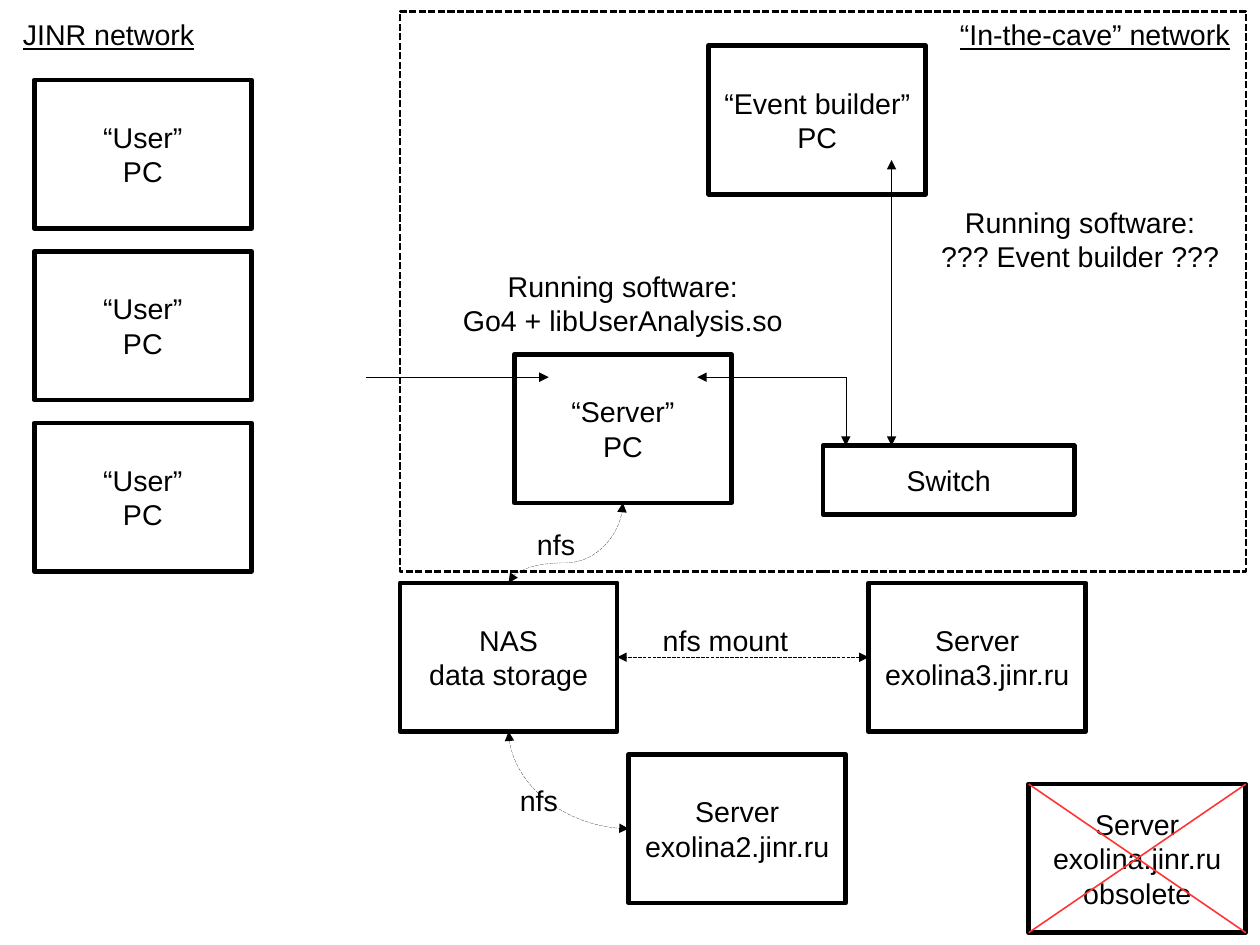
from lxml.etree import SubElement
from pptx import Presentation
from pptx.dml.color import RGBColor
from pptx.enum.dml import MSO_LINE
from pptx.enum.shapes import MSO_CONNECTOR, MSO_SHAPE
from pptx.enum.text import MSO_ANCHOR, MSO_AUTO_SIZE, PP_ALIGN
from pptx.oxml.ns import qn
from pptx.util import Cm, Inches, Pt

COLORS = {"ink": "000000", "cross": "FF3333"}
TEXT_FORMAT = {"size": Pt(18), "name": "Arial", "bold": False}
CELL = 0.1  # inches per grid step; all positions below count these steps
PC_SIZE = (19, 13)
TOP, LEFT, BOTTOM, RIGHT = range(4)

USER_PCS = {f"user{row}": ("“User”\nPC", 3, 7 + 15 * row, *PC_SIZE) for row in range(3)}
MACHINES = {
    "switch": ("Switch", 72, 39, 22, 6),
    "server": ("“Server”\nPC", 45, 31, *PC_SIZE),
    "builder": ("“Event builder”\nPC", 62, 4, *PC_SIZE),
    **USER_PCS,
    "exolina2": ("Server\nexolina2.jinr.ru", 55, 66, *PC_SIZE),
    "exolina3": ("Server\nexolina3.jinr.ru", 76, 51, *PC_SIZE),
    "obsolete": ("Server\nexolina.jinr.ru\nobsolete", 90, 68.6, *PC_SIZE),
    "nas": ("NAS\ndata storage", 35, 51, *PC_SIZE),
}
CAVE = (35, 1, 74, 49)

HEADING = ("JINR network", 1, 1, 26, 4)
CAVE_HEADING = ("“In-the-cave” network", 83, 1, 26, 4)
SOFTWARE = [
    ("Running software:\nGo4 + libUserAnalysis.so", 39, 23, 31, 6.6),
    ("Running software:\n??? Event builder ???", 79, 17.4, 31, 6.6),
]
MOUNT_LABELS = [
    ("nfs mount", 57, 54, 14, 4),
    ("nfs", 46, 45.6, 6, 3.8),
    ("nfs", 44.5, 68, 6, 3.8),
]

# start, end, arrowheads
CABLES = [
    ((74, 33), (61, 33), ["tailEnd"]),
    ((74, 33), (74, 39), ["tailEnd"]),
    ((78, 14), (78, 39), ["headEnd", "tailEnd"]),
    ((32, 33), (48, 33), ["tailEnd"]),
]
# machine and side at each end, then the bend of a curve
MOUNTS = [
    ("exolina3", LEFT, "nas", RIGHT, None),
    ("nas", BOTTOM, "exolina2", LEFT,
     {"prst": "curvedConnector2", "rot": 270, "flipH": 1, "flipV": 0}),
    ("nas", TOP, "server", BOTTOM,
     {"prst": "curvedConnector3", "rot": 90, "flipH": 1, "flipV": 1, "adj": 25000}),
]


def grid(*steps):
    return [Inches(step * CELL) for step in steps]


def write(shape, text, align, underline=False, wrap=True, anchor=MSO_ANCHOR.TOP):
    frame = shape.text_frame
    frame.text = text
    frame.auto_size = MSO_AUTO_SIZE.NONE
    frame.word_wrap = wrap
    frame.vertical_anchor = anchor
    for paragraph in frame.paragraphs:
        paragraph.alignment = align
        for key, value in TEXT_FORMAT.items():
            setattr(paragraph.font, key, value)
        paragraph.font.underline = underline
        paragraph.font.color.rgb = RGBColor.from_string(COLORS["ink"])


def add_box(shapes, area, width):
    box = shapes.add_shape(MSO_SHAPE.RECTANGLE, *grid(*area))
    box.shadow.inherit = False
    box.fill.background()
    box.line.color.rgb = RGBColor.from_string(COLORS["ink"])
    box.line.width = Pt(width)
    return box


def add_label(shapes, label, align, underline=False):
    text, *area = label
    write(shapes.add_textbox(*grid(*area)), text, align, underline)


def add_line(shapes, start, end, heads=(), color="ink", width=0, dash=None,
             kind=MSO_CONNECTOR.STRAIGHT):
    link = shapes.add_connector(kind, *grid(*start, *end))
    link.line.color.rgb = RGBColor.from_string(COLORS[color])
    if dash:
        link.line.dash_style = dash
    properties = link._element.spPr
    outline = properties.find(qn("a:ln"))
    outline.set("w", str(Pt(width)))  # a hairline needs its zero written out
    for head in heads:
        SubElement(outline, qn(f"a:{head}"), type="triangle")
    SubElement(properties, qn("a:effectLst"))
    return link


def bend(link, curve):
    """Turn a joined curve by a quarter so that it leaves its box vertically."""
    wide, high = link.width, link.height
    link.left += (wide - high) // 2
    link.top += (high - wide) // 2
    link.width, link.height = high, wide
    properties = link._element.spPr
    frame = properties.find(qn("a:xfrm"))
    frame.set("rot", str(curve["rot"] * 60000))
    for flip in ("flipH", "flipV"):
        frame.set(flip, str(curve[flip]))
    geometry = properties.find(qn("a:prstGeom"))
    geometry.set("prst", curve["prst"])
    if "adj" in curve:
        SubElement(geometry.find(qn("a:avLst")), qn("a:gd"),
                   name="adj1", fmla=f"val {curve['adj']}")


def main():
    deck = Presentation()
    deck.slide_width, deck.slide_height = Cm(28), Cm(21)
    slide = deck.slides.add_slide(deck.slide_layouts[5])
    shapes = slide.shapes

    heading, *area = HEADING
    title = shapes.title
    title.left, title.top, title.width, title.height = grid(*area)
    write(title, heading, PP_ALIGN.LEFT, underline=True)

    add_box(shapes, CAVE, 1.5).line.dash_style = MSO_LINE.SQUARE_DOT
    add_label(shapes, CAVE_HEADING, PP_ALIGN.LEFT, underline=True)

    machines = {}
    for key, (text, *area) in MACHINES.items():
        machines[key] = add_box(shapes, area, 2.89)
        write(machines[key], text, PP_ALIGN.CENTER, wrap=False, anchor=MSO_ANCHOR.MIDDLE)

    for start, end, heads in CABLES:
        add_line(shapes, start, end, heads)

    for source, source_side, target, target_side, curve in MOUNTS:
        kind = MSO_CONNECTOR.CURVE if curve else MSO_CONNECTOR.STRAIGHT
        link = add_line(shapes, (0, 0), (1, 1), ["headEnd", "tailEnd"],
                        dash=MSO_LINE.SQUARE_DOT, kind=kind)
        link.begin_connect(machines[source], source_side)
        link.end_connect(machines[target], target_side)
        if curve:
            bend(link, curve)

    _, left, top, width, height = MACHINES["obsolete"]
    for near, far in ((left, left + width), (left + width, left)):
        add_line(shapes, (near, top), (far, top + height), color="cross", width=1)

    for label in SOFTWARE:
        add_label(shapes, label, PP_ALIGN.CENTER)
    for label in MOUNT_LABELS:
        add_label(shapes, label, PP_ALIGN.LEFT)

    deck.save("out.pptx")


if __name__ == "__main__":
    main()
